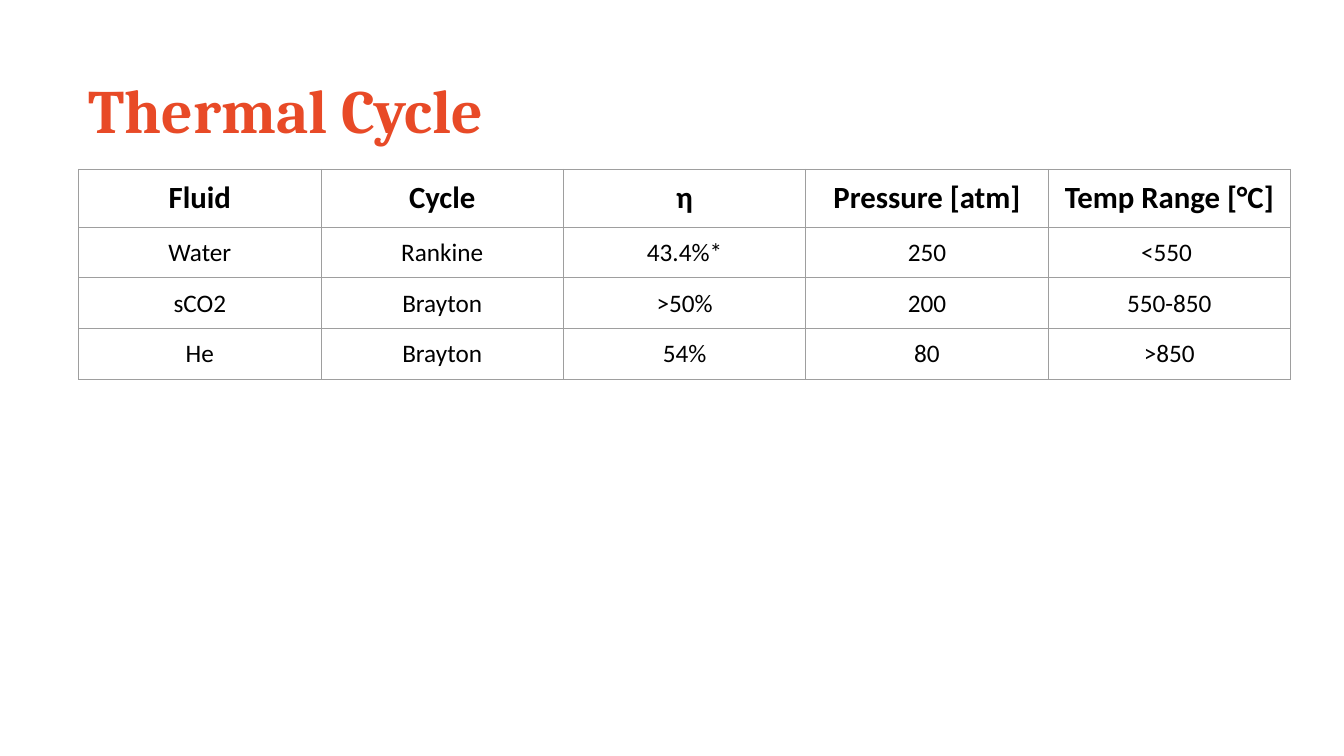
import dataclasses

import lxml.etree
import pptx
import pptx.dml.color
import pptx.enum.text
import pptx.oxml.ns
import pptx.util

Inches = pptx.util.Inches
Pt = pptx.util.Pt


@dataclasses.dataclass(frozen=True)
class Theme:
    title_font: str = "Cambria"
    table_font: str = "Calibri"
    title_color: str = "E84A27"
    text_color: str = "000000"
    border_color: str = "9E9E9E"
    title_size: int = 44
    header_size: int = 22
    body_size: int = 18
    border_width: float = 0.75


def apply(target, values):
    for name, value in values.items():
        setattr(target, name, value)


class SlideBuilder:
    def __init__(self, slide, theme):
        self.slide = slide
        self.theme = theme

    def format_text(self, paragraph, align, color, **font_values):
        paragraph.alignment = align
        apply(paragraph.font, font_values)
        paragraph.font.color.rgb = pptx.dml.color.RGBColor.from_string(color)

    def title(self, text, left, top, width, height):
        heading = self.slide.shapes.title
        apply(heading, {"left": Inches(left), "top": Inches(top),
                        "width": Inches(width), "height": Inches(height)})
        frame = heading.text_frame
        frame.text = text
        apply(frame, {
            "word_wrap": True,
            "auto_size": pptx.enum.text.MSO_AUTO_SIZE.NONE,
            "vertical_anchor": pptx.enum.text.MSO_ANCHOR.MIDDLE,
            "margin_left": Inches(0.1), "margin_right": Inches(0.1),
            "margin_top": Inches(0.05), "margin_bottom": Inches(0.05),
        })
        paragraph = frame.paragraphs[0]
        paragraph.line_spacing = 0.9
        self.format_text(paragraph, pptx.enum.text.PP_ALIGN.LEFT, self.theme.title_color,
                         name=self.theme.title_font, size=Pt(self.theme.title_size), bold=True)

    def cell_borders(self, cell):
        qn = pptx.oxml.ns.qn
        properties = cell._tc.get_or_add_tcPr()
        for side in ("a:lnL", "a:lnR", "a:lnT", "a:lnB"):
            border = lxml.etree.SubElement(properties, qn(side),
                                           w=str(int(Pt(self.theme.border_width))))
            fill = lxml.etree.SubElement(border, qn("a:solidFill"))
            lxml.etree.SubElement(fill, qn("a:srgbClr"), val=self.theme.border_color)

    def table(self, rows, left, top, width, row_height):
        table = self.slide.shapes.add_table(
            len(rows), len(rows[0]), Inches(left), Inches(top),
            Inches(width), Inches(row_height * len(rows))).table
        apply(table, {"first_row": False, "horz_banding": False})
        margins = dict.fromkeys(
            ("margin_left", "margin_right", "margin_top", "margin_bottom"), Inches(0.1))
        for row_index, row in enumerate(rows):
            is_header = row_index == 0
            size = self.theme.header_size if is_header else self.theme.body_size
            for column_index, text in enumerate(row):
                cell = table.cell(row_index, column_index)
                cell.text = text
                apply(cell, margins)
                self.cell_borders(cell)
                cell.fill.background()
                self.format_text(cell.text_frame.paragraphs[0],
                                 pptx.enum.text.PP_ALIGN.CENTER, self.theme.text_color,
                                 name=self.theme.table_font, size=Pt(size), bold=is_header)


def main():
    presentation = pptx.Presentation()
    apply(presentation, {"slide_width": Inches(13.33), "slide_height": Inches(7.5)})
    title_only = presentation.slide_layouts[5]
    builder = SlideBuilder(presentation.slides.add_slide(title_only), Theme())

    # Heading
    builder.title("Thermal Cycle", 0.78, 0.4, 12.02, 1.45)

    # Comparison of working fluids
    fluid_comparison = [
        ("Fluid", "Cycle", "η", "Pressure [atm]", "Temp Range [°C]"),
        ("Water", "Rankine", "43.4%*", "250", "<550 "),
        ("sCO2", "Brayton", ">50%", "200", "550-850"),
        ("He", "Brayton", "54%", "80", ">850"),
    ]
    builder.table(fluid_comparison, 0.78, 1.68, 12.02, 0.42)

    presentation.save("out.pptx")


if __name__ == "__main__":
    main()
